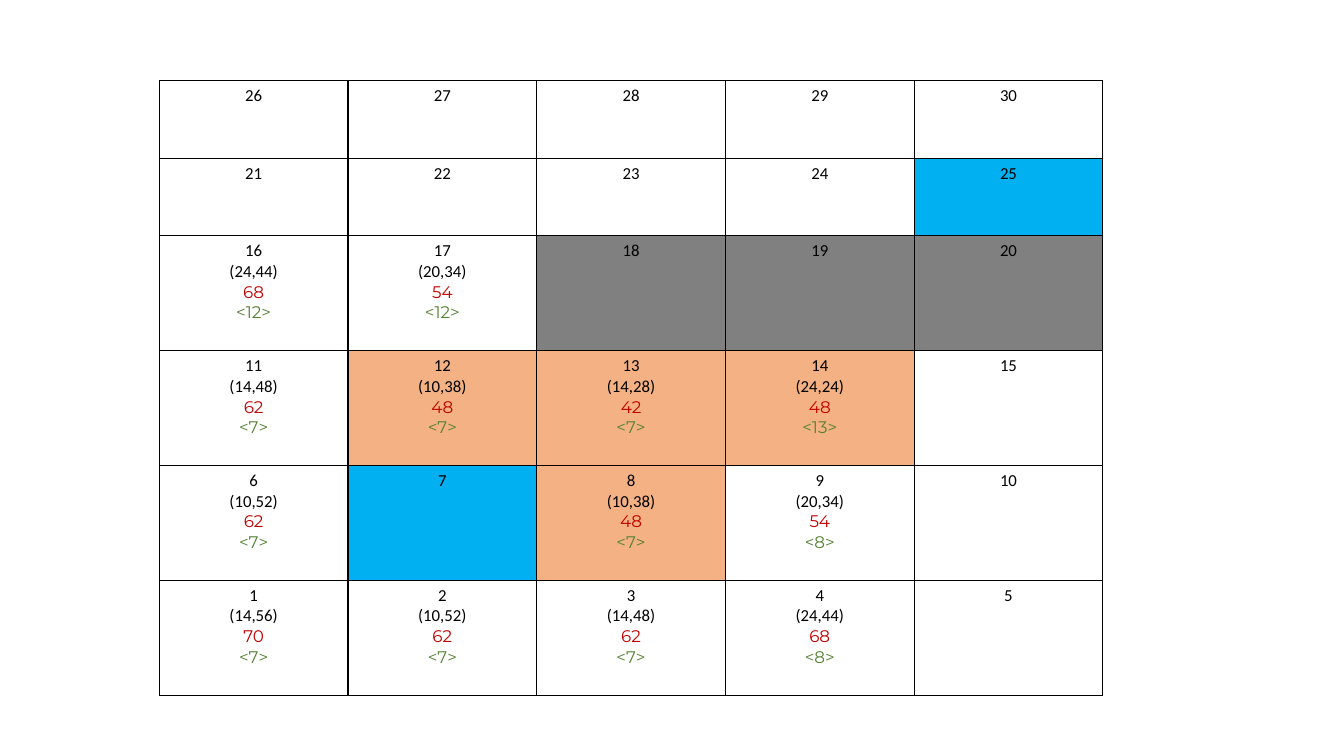
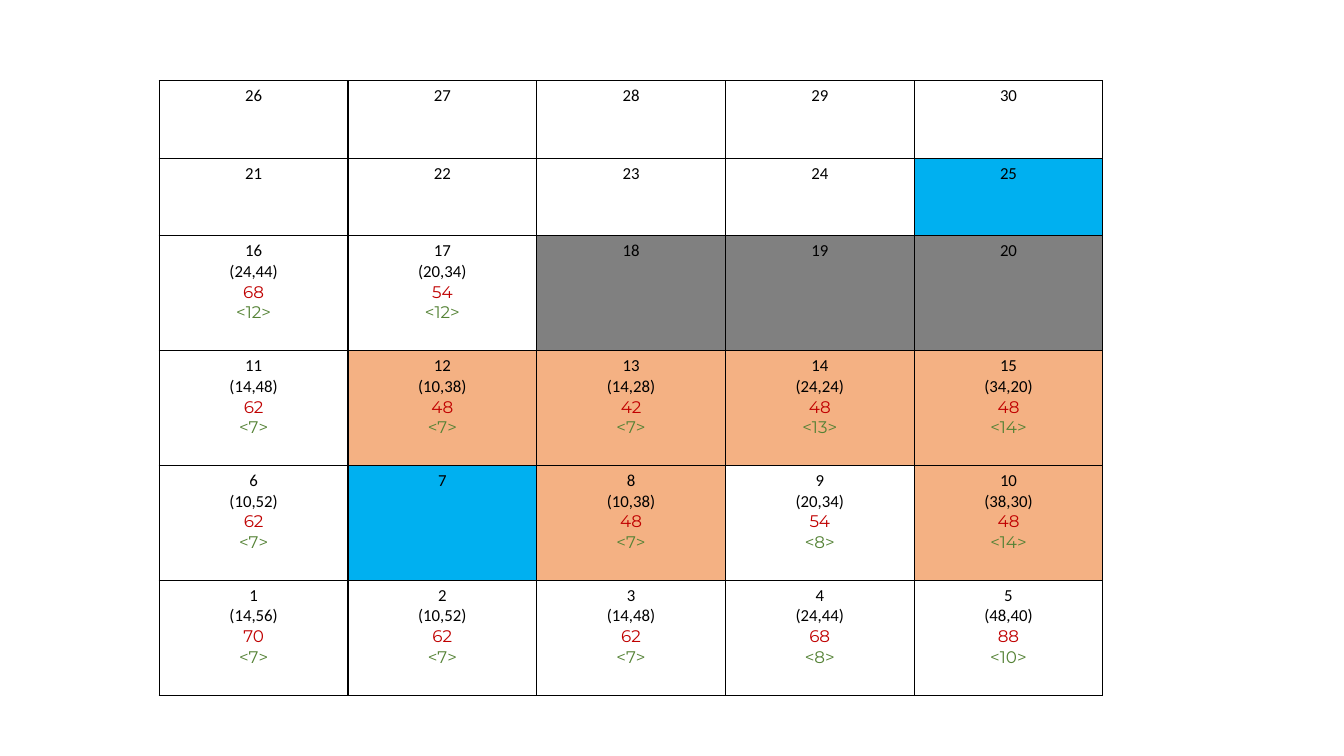
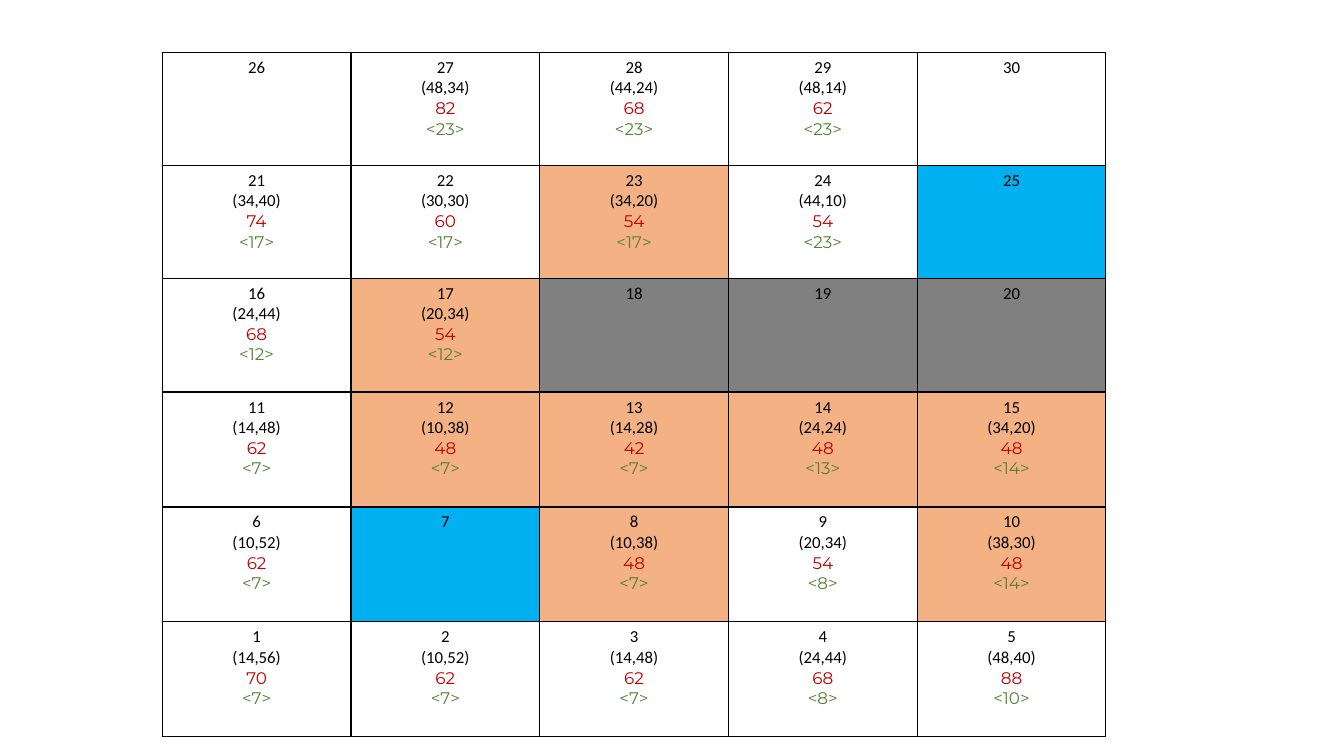
from dataclasses import dataclass

from lxml.etree import SubElement
from pptx import Presentation
from pptx.dml.color import RGBColor as Color
from pptx.enum.text import MSO_ANCHOR as Anchor, PP_ALIGN as Align
from pptx.oxml.ns import qn
from pptx.util import Inches, Pt


@dataclass(frozen=True)
class Theme:
    ink: str = "000000"
    total: str = "C00000"
    parent: str = "548235"
    free: str = "FFFFFF"
    endpoint: str = "00B0F0"
    wall: str = "808080"
    closed: str = "F4B183"
    label_font: str = "Calibri"
    score_font: str = "Montserrat"
    text_size: int = 12
    border_width: int = 1


@dataclass(frozen=True)
class Box:
    left: float
    top: float
    width: float
    height: float


THEME = Theme()
SLIDE_WIDTH, SLIDE_HEIGHT = 13.33, 7.5
COLUMNS, ROWS = 5, 6
ENDPOINTS = {7, 25}
WALLS = {18, 19, 20}

FIRST_SCORES = {
    1: ("(14,56)", "70", "<7>"),
    2: ("(10,52)", "62", "<7>"),
    3: ("(14,48)", "62", "<7>"),
    4: ("(24,44)", "68", "<8>"),
    6: ("(10,52)", "62", "<7>"),
    8: ("(10,38)", "48", "<7>"),
    9: ("(20,34)", "54", "<8>"),
    11: ("(14,48)", "62", "<7>"),
    12: ("(10,38)", "48", "<7>"),
    13: ("(14,28)", "42", "<7>"),
    14: ("(24,24)", "48", "<13>"),
    16: ("(24,44)", "68", "<12>"),
    17: ("(20,34)", "54", "<12>"),
}
SECOND_SCORES = FIRST_SCORES | {
    5: ("(48,40)", "88", "<10>"),
    10: ("(38,30)", "48", "<14>"),
    15: ("(34,20)", "48", "<14>"),
}
THIRD_SCORES = SECOND_SCORES | {
    21: ("(34,40)", "74", "<17>"),
    22: ("(30,30)", "60", "<17>"),
    23: ("(34,20)", "54", "<17>"),
    24: ("(44,10)", "54", "<23>"),
    27: ("(48,34)", "82", "<23>"),
    28: ("(44,24)", "68", "<23>"),
    29: ("(48,14)", "62", "<23>"),
}
FIRST_CLOSED = {8, 12, 13, 14}
SECOND_CLOSED = FIRST_CLOSED | {10, 15}
THIRD_CLOSED = SECOND_CLOSED | {17, 23}

EARLY_BOX = Box(1.58, 0.8, 9.36, 6.1)
LATE_BOX = Box(1.61, 0.52, 9.36, 6.79)
EARLY_ROWS = (0.77, 0.77, 1.14, 1.14, 1.14, 1.14)
LATE_ROWS = (1.12, 1.12, 1.13, 1.14, 1.14, 1.14)

STEPS = (
    (EARLY_BOX, EARLY_ROWS, FIRST_SCORES, FIRST_CLOSED),
    (EARLY_BOX, EARLY_ROWS, SECOND_SCORES, SECOND_CLOSED),
    (LATE_BOX, LATE_ROWS, THIRD_SCORES, THIRD_CLOSED),
)


def node_colour(node, closed):
    if node in ENDPOINTS:
        return THEME.endpoint
    if node in WALLS:
        return THEME.wall
    return THEME.closed if node in closed else THEME.free


def draw_borders(cell):
    properties = cell._tc.get_or_add_tcPr()
    for side in ("a:lnL", "a:lnR", "a:lnT", "a:lnB"):
        border = SubElement(properties, qn(side), w=str(Pt(THEME.border_width)))
        fill = SubElement(border, qn("a:solidFill"))
        SubElement(fill, qn("a:srgbClr"), val=THEME.ink)


def write_node(cell, node, scores):
    styles = (
        (THEME.label_font, THEME.ink),
        (THEME.label_font, THEME.ink),
        (THEME.score_font, THEME.total),
        (THEME.score_font, THEME.parent),
    )
    frame = cell.text_frame
    lines = (str(node), *scores)
    for index, (line, (font_name, colour)) in enumerate(zip(lines, styles)):
        paragraph = frame.add_paragraph() if index else frame.paragraphs[0]
        paragraph.alignment = Align.CENTER
        run = paragraph.add_run()
        run.text = line
        run.font.name = font_name
        run.font.size = Pt(THEME.text_size)
        run.font.color.rgb = Color.from_string(colour)


def add_search_grid(slide, box, row_weights, scores, closed):
    frame = slide.shapes.add_table(
        ROWS, COLUMNS,
        Inches(box.left), Inches(box.top), Inches(box.width), Inches(box.height),
    )
    grid = frame.table
    grid.first_row = False
    grid.horz_banding = False
    for column in grid.columns:
        column.width = Inches(box.width / COLUMNS)
    for row, weight in zip(grid.rows, row_weights):
        row.height = Inches(box.height * weight / sum(row_weights))
    for row in range(ROWS):
        for column in range(COLUMNS):
            node = (ROWS - 1 - row) * COLUMNS + column + 1
            cell = grid.cell(row, column)
            cell.vertical_anchor = Anchor.TOP
            draw_borders(cell)
            cell.fill.solid()
            cell.fill.fore_color.rgb = Color.from_string(node_colour(node, closed))
            write_node(cell, node, scores.get(node, ()))


def main():
    deck = Presentation()
    deck.slide_width = Inches(SLIDE_WIDTH)
    deck.slide_height = Inches(SLIDE_HEIGHT)
    blank_layout = deck.slide_layouts.get_by_name("Blank")
    for box, row_weights, scores, closed in STEPS:
        slide = deck.slides.add_slide(blank_layout)
        add_search_grid(slide, box, row_weights, scores, closed)
    deck.save("out.pptx")


if __name__ == "__main__":
    main()
